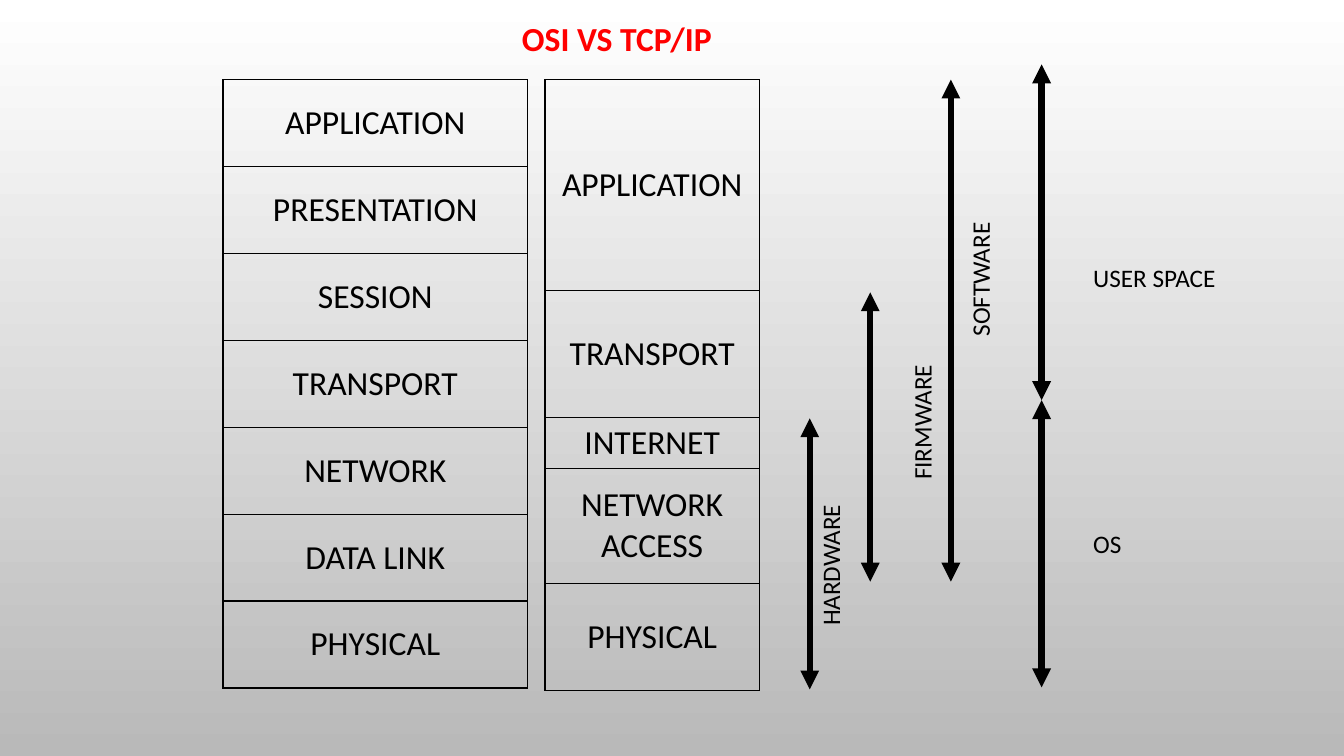
from dataclasses import dataclass

from lxml import etree
from pptx import Presentation
from pptx import util as u
from pptx.dml.color import RGBColor
from pptx.enum import shapes, text
from pptx.oxml import ns
from pptx.slide import Slide
from pptx.table import _Cell
from pptx.text.text import TextFrame

BLACK = RGBColor(0x00, 0x00, 0x00)
RED = RGBColor(0xFF, 0x00, 0x00)
WHITE = RGBColor(0xFF, 0xFF, 0xFF)
GREY = RGBColor(0xB9, 0xB9, 0xB9)
FONT = "Calibri"
WIDTH, HEIGHT = u.Inches(13.33), u.Inches(7.5)
STACK_TOP = 10.53
SPACE_BORDER = 52.93
FIRMWARE_BOTTOM = 76.93


@dataclass(frozen=True)
class Stack:
    left: float
    width: float
    layers: tuple[tuple[str, float], ...]


@dataclass(frozen=True)
class Span:
    x: float
    top: float
    bottom: float


@dataclass(frozen=True)
class Label:
    words: str
    left: float
    top: float
    width: float
    rotation: float = 0
    height: float = 5.33
    size: float = 18
    color: RGBColor = BLACK
    bold: bool = False


OSI_LAYERS = ("APPLICATION", "PRESENTATION", "SESSION", "TRANSPORT",
              "NETWORK", "DATA LINK", "PHYSICAL")
STACKS = (
    Stack(16.6, 22.65, tuple((layer, 11.5) for layer in OSI_LAYERS)),
    Stack(40.55, 15.95, (
        ("APPLICATION", 27.87),
        ("TRANSPORT", 16.8),
        ("INTERNET", 6.67),
        ("NETWORK ACCESS", 15.2),
        ("PHYSICAL", 14.2),
    )),
)
SPANS = (
    Span(60.25, 55.33, 91.2),
    Span(64.75, 38.67, FIRMWARE_BOTTOM),
    Span(70.75, STACK_TOP, FIRMWARE_BOTTOM),
    Span(77.5, 8.53, SPACE_BORDER),
    Span(77.5, SPACE_BORDER, 90.93),
)
LABELS = (
    Label("OS", 80.6, 69.2, 3.9),
    Label("USER SPACE", 80.6, 34, 10.73),
    Label("SOFTWARE", 67.75, 34, 10.3, rotation=270),
    Label("FIRMWARE", 63.4, 52.93, 10.35, rotation=270),
    Label("HARDWARE", 56.25, 71.65, 11.03, rotation=270),
    Label("OSI VS TCP/IP", 38.1, 1.73, 16.35, height=6.67, size=24,
          color=RED, bold=True),
)


def across(percent: float) -> int:
    return round(WIDTH * percent / 100)


def down(percent: float) -> int:
    return round(HEIGHT * percent / 100)


def write(frame: TextFrame, words: str, *, size: float,
          color: RGBColor = BLACK, bold: bool = False,
          align: text.PP_ALIGN = text.PP_ALIGN.LEFT) -> None:
    paragraph = frame.paragraphs[0]
    paragraph.alignment = align
    run = paragraph.add_run()
    run.text = words
    run.font.name = FONT
    run.font.size = u.Pt(size)
    run.font.bold = bold
    run.font.color.rgb = color


def add_borders(cell: _Cell) -> None:
    properties = cell._tc.get_or_add_tcPr()
    for position, side in enumerate(("a:lnL", "a:lnR", "a:lnT", "a:lnB")):
        border = etree.Element(ns.qn(side), w=str(u.Pt(1)))
        fill = etree.SubElement(border, ns.qn("a:solidFill"))
        etree.SubElement(fill, ns.qn("a:srgbClr"), val=str(BLACK))
        properties.insert(position, border)


def draw_stack(slide: Slide, stack: Stack) -> None:
    total = sum(share for _, share in stack.layers)
    table = slide.shapes.add_table(
        len(stack.layers), 1, across(stack.left), down(STACK_TOP),
        across(stack.width), down(total)).table
    table.first_row = False
    table.horz_banding = False
    for row, (layer, share) in zip(table.rows, stack.layers):
        row.height = down(share)
        cell = row.cells[0]
        cell.vertical_anchor = text.MSO_ANCHOR.MIDDLE
        cell.fill.background()
        add_borders(cell)
        write(cell.text_frame, layer, size=24, align=text.PP_ALIGN.CENTER)


def draw_span(slide: Slide, span: Span) -> None:
    arrow = slide.shapes.add_connector(
        shapes.MSO_CONNECTOR.STRAIGHT, across(span.x), down(span.top),
        across(span.x), down(span.bottom))
    arrow.line.color.rgb = BLACK
    arrow.line.width = u.Pt(4.5)
    line = arrow.line._get_or_add_ln()
    for end in ("a:headEnd", "a:tailEnd"):
        etree.SubElement(line, ns.qn(end), type="triangle")
    etree.SubElement(arrow._element.spPr, ns.qn("a:effectLst"))


def draw_label(slide: Slide, label: Label) -> None:
    box = slide.shapes.add_textbox(
        across(label.left), down(label.top),
        across(label.width), down(label.height))
    box.rotation = label.rotation
    box.text_frame.word_wrap = False
    box.text_frame.auto_size = text.MSO_AUTO_SIZE.SHAPE_TO_FIT_TEXT
    write(box.text_frame, label.words, size=label.size,
          color=label.color, bold=label.bold)


def paint_background(slide: Slide) -> None:
    fill = slide.background.fill
    fill.gradient()
    fill.gradient_angle = 270
    for stop, color in zip(fill.gradient_stops, (WHITE, GREY)):
        stop.color.rgb = color


def main() -> None:
    presentation = Presentation()
    presentation.slide_width, presentation.slide_height = WIDTH, HEIGHT
    slide = presentation.slides.add_slide(presentation.slide_layouts[6])
    paint_background(slide)
    for stack in STACKS:
        draw_stack(slide, stack)
    for span in SPANS:
        draw_span(slide, span)
    for label in LABELS:
        draw_label(slide, label)
    presentation.save("out.pptx")


if __name__ == "__main__":
    main()
